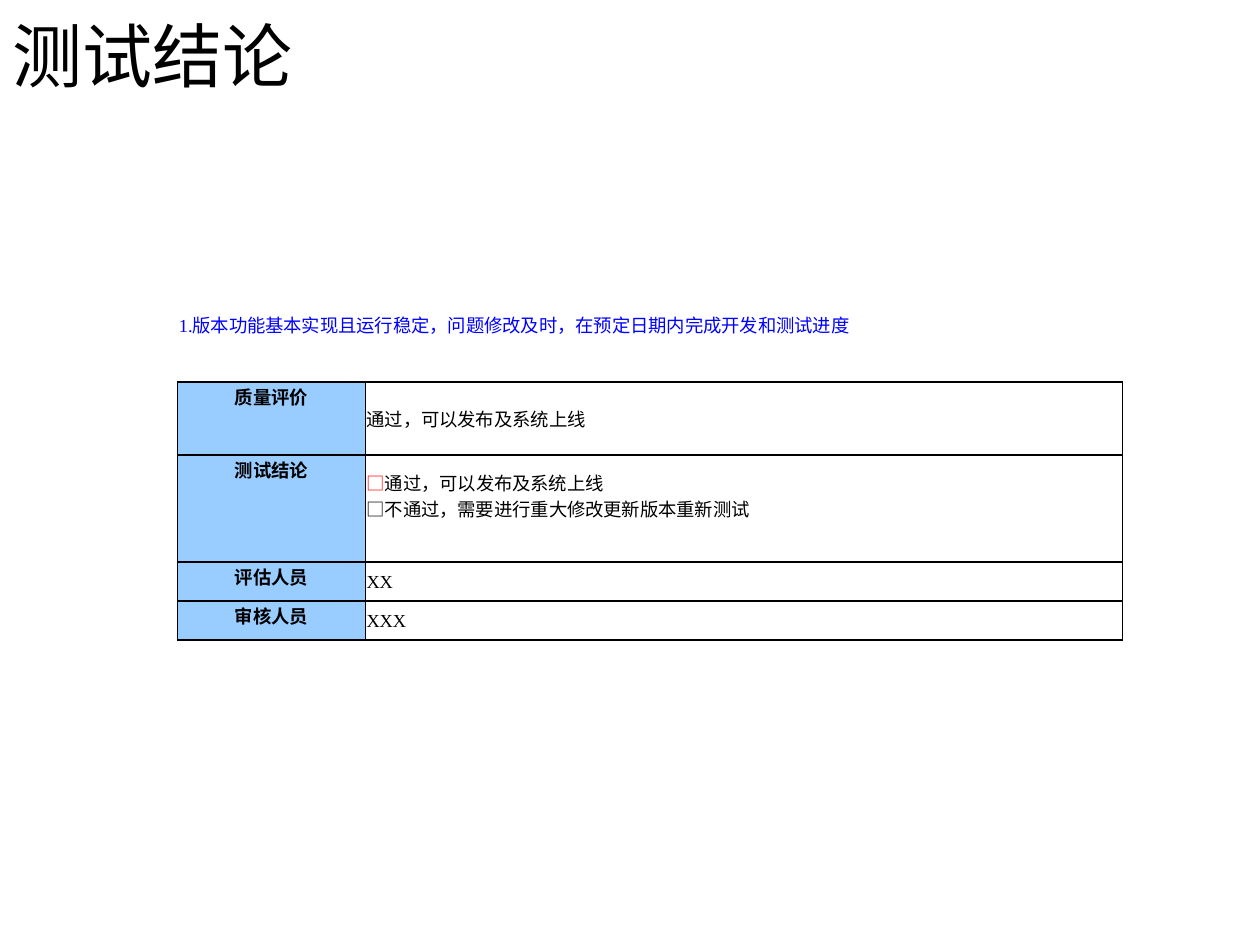
from dataclasses import dataclass

from lxml import etree
from pptx import Presentation
from pptx import util as u
from pptx.dml.color import RGBColor
from pptx.enum import text
from pptx.oxml import ns

COLORS = {"ink": "000000", "note": "0000FF", "label": "99CCFF", "mark": "FF0000"}
CJK = "Noto Sans CJK SC"
SERIF = "Times New Roman"
SIZE = 10.5
FIRST_BORDERED_ROW = 2


@dataclass
class Span:
    words: str
    color: str = "ink"
    font: str = CJK
    bold: bool = False


@dataclass
class Entry:
    label: str
    lines: list[list[Span]]
    align: text.PP_ALIGN = text.PP_ALIGN.JUSTIFY


NOTE = [
    Span("1.", "note", SERIF),
    Span("版本功能基本实现且运行稳定，问题修改及时，在预定日期内完成开发和测试进度", "note"),
]
ENTRIES = [
    Entry("质量评价", [[Span("通过，可以发布及系统上线")]]),
    Entry(
        "测试结论",
        [
            [Span("□", "mark"), Span("通过，可以发布及系统上线")],
            [Span("□不通过，需要进行重大修改更新版本重新测试")],
            [],
        ],
        text.PP_ALIGN.LEFT,
    ),
    Entry("评估人员", [[Span("XX", font=SERIF)]]),
    Entry("审核人员", [[Span("XXX", font=SERIF)]]),
]
COLUMNS = [1.49, 6.01]
ROWS = [0.3, 0.31, 0.58, 0.85, 0.31, 0.31]


def add_child(parent, tag: str, **attributes: str):
    """Append a DrawingML element and return it."""
    return etree.SubElement(parent, ns.qn(f"a:{tag}"), **attributes)


def add_text(para, words: str, *, size: float, font: str, color: str, bold: bool = False) -> None:
    """Add one formatted span to a paragraph."""
    span = para.add_run()
    span.text = words
    span.font.size = u.Pt(size)
    span.font.name = font
    span.font.bold = bold
    span.font.color.rgb = RGBColor.from_string(COLORS[color])
    add_child(span.font._element, "ea", typeface=CJK)


def add_format(parent, tag: str) -> None:
    """Give a line break or paragraph end the table's text size and font."""
    mark = add_child(parent, tag, sz=str(int(SIZE * 100)))
    for script in ("latin", "ea"):
        add_child(mark, script, typeface=CJK)


def fill_cell(cell, lines: list[list[Span]], *, align=text.PP_ALIGN.LEFT,
              anchor=text.MSO_ANCHOR.MIDDLE, fill: str | None = None) -> None:
    """Set the text, margins and fill of a table cell."""
    cell.margin_left = cell.margin_right = cell.margin_top = u.Inches(0.01)
    cell.margin_bottom = 0
    cell.vertical_anchor = anchor
    if fill:
        cell.fill.solid()
        cell.fill.fore_color.rgb = RGBColor.from_string(COLORS[fill])
    else:
        cell.fill.background()
    para = cell.text_frame.paragraphs[0]
    para.alignment = align
    for index, line in enumerate(lines):
        if index:
            add_format(add_child(para._p, "br"), "rPr")
        for span in line:
            add_text(para, span.words, size=SIZE, font=span.font, color=span.color, bold=span.bold)
    add_format(para._p, "endParaRPr")


def add_borders(cell, sides: str) -> None:
    """Draw one-point lines on the given sides of a cell."""
    properties = cell._tc.get_or_add_tcPr()
    for index, side in enumerate(sides):
        line = etree.Element(ns.qn(f"a:ln{side}"), w=str(u.Pt(1)))
        add_child(add_child(line, "solidFill"), "srgbClr", val=COLORS["ink"])
        properties.insert(index, line)


def add_title(page, words: str) -> None:
    """Add the page title."""
    box = page.shapes.add_textbox(u.Inches(0), u.Inches(0.07), u.Inches(9), u.Inches(0.72))
    frame = box.text_frame
    frame.word_wrap = True
    frame.vertical_anchor = text.MSO_ANCHOR.MIDDLE
    add_text(frame.paragraphs[0], words, size=40, font="Calibri", color="ink")


def add_conclusion_table(page) -> None:
    """Add the note and the labelled conclusions as one table."""
    table = page.shapes.add_table(
        len(ROWS), len(COLUMNS), u.Inches(1.41), u.Inches(2.42),
        u.Inches(sum(COLUMNS)), u.Inches(sum(ROWS)),
    ).table
    table.first_row = table.horz_banding = False
    for column, width in zip(table.columns, COLUMNS):
        column.width = u.Inches(width)
    for row, height in zip(table.rows, ROWS):
        row.height = u.Inches(height)
    fill_cell(table.cell(0, 0), [NOTE])
    fill_cell(table.cell(0, 1), [])
    table.cell(0, 0).merge(table.cell(0, 1))
    for column in range(len(COLUMNS)):
        fill_cell(table.cell(1, column), [])
        add_borders(table.cell(1, column), "B")
    for row, entry in enumerate(ENTRIES, FIRST_BORDERED_ROW):
        label, value = table.cell(row, 0), table.cell(row, 1)
        fill_cell(label, [[Span(entry.label, bold=True)]], align=text.PP_ALIGN.CENTER,
                  anchor=text.MSO_ANCHOR.TOP, fill="label")
        fill_cell(value, entry.lines, align=entry.align)
        for cell in (label, value):
            add_borders(cell, "LRTB")


def main() -> None:
    """Build the test conclusion page."""
    deck = Presentation()
    deck.slide_width, deck.slide_height = u.Inches(10), u.Inches(7.5)
    page = deck.slides.add_slide(deck.slide_layouts[6])
    add_title(page, "测试结论")
    add_conclusion_table(page)
    deck.save("out.pptx")


if __name__ == "__main__":
    main()
